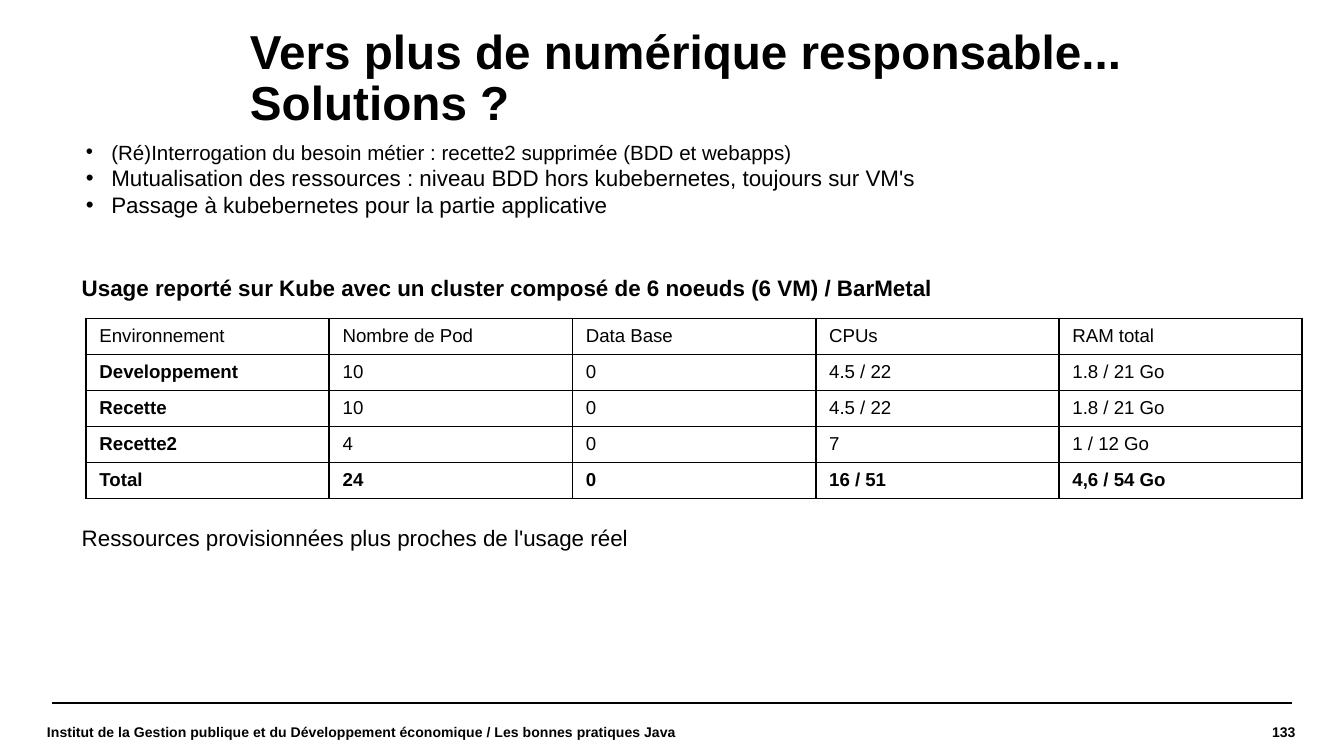
from dataclasses import dataclass

from pptx import Presentation
from pptx.dml.color import RGBColor
from pptx.enum.shapes import MSO_CONNECTOR as CONNECTOR, MSO_SHAPE as SHAPE
from pptx.enum.text import MSO_ANCHOR as ANCHOR, MSO_AUTO_SIZE as AUTO_SIZE, PP_ALIGN as ALIGN
from pptx.oxml import parse_xml
from pptx.oxml.ns import nsdecls
from pptx.util import Inches, Pt


@dataclass(frozen=True)
class Theme:
    """Colours, font and type sizes of the slide."""
    ink: str = "000000"
    paper: str = "FFFFFF"
    font: str = "Arial"
    title: float = 25.5
    body: float = 12
    first_bullet: float = 11
    cell: float = 10
    footer: float = 7.5
    rule: float = 0.8
    border: float = 0.96


THEME = Theme()

BULLETS = [
    ("(Ré)Interrogation du besoin métier : recette2 supprimée (BDD et webapps)", THEME.first_bullet),
    ("Mutualisation des ressources : niveau BDD hors kubebernetes, toujours sur VM's", THEME.body),
    ("Passage à kubebernetes pour la partie applicative", THEME.body),
]

USAGE = [
    ("Environnement", "Nombre de Pod", "Data Base", "CPUs", "RAM total"),
    ("Developpement", "10", "0", "4.5 / 22", "1.8 / 21 Go"),
    ("Recette", "10", "0", "4.5 / 22", "1.8 / 21 Go"),
    ("Recette2", "4", "0", "7", "1 / 12 Go"),
    ("Total", "24", "0", "16 / 51", "4,6 / 54 Go"),
]


def style(paragraph, size, bold=False):
    """Apply the theme font to every run of a paragraph."""
    for run in paragraph.runs:
        run.font.name = THEME.font
        run.font.size = Pt(size)
        run.font.bold = bold
        run.font.color.rgb = RGBColor.from_string(THEME.ink)


def add_text(slide, box, text, size, bold=False, inset=True, anchor=ANCHOR.TOP, align=ALIGN.LEFT):
    """Place one paragraph in a wrapped text box and return the paragraph."""
    frame = slide.shapes.add_textbox(*map(Inches, box)).text_frame
    frame.word_wrap = True
    frame.vertical_anchor = anchor
    if not inset:
        frame.margin_left = frame.margin_right = frame.margin_top = frame.margin_bottom = 0
    frame.text = text
    paragraph = frame.paragraphs[0]
    paragraph.alignment = align
    style(paragraph, size, bold)
    return paragraph


def add_title(slide, box):
    """Place the slide title."""
    title = add_text(slide, box, "Vers plus de numérique responsable... Solutions ?",
                     THEME.title, bold=True, inset=False)
    title.line_spacing = 0.9


def add_footer(slide, box):
    """Place the rule, the course name and the page number."""
    left, top, width, height = box
    rule = slide.shapes.add_connector(CONNECTOR.STRAIGHT, Inches(left + 0.04), Inches(top),
                                      Inches(left + width - 0.03), Inches(top))
    rule.line.color.rgb = RGBColor.from_string(THEME.ink)
    rule.line.width = Pt(THEME.rule)
    rule._element.spPr.append(parse_xml(f"<a:effectLst {nsdecls('a')}/>"))

    number_width = 1.47
    label_top, label_height = top + 0.02, height - 0.02
    entries = [
        (left + width - number_width, number_width, "133", ALIGN.RIGHT),
        (left, 4.84, "Institut de la Gestion publique et du Développement économique"
                     " / Les bonnes pratiques Java", ALIGN.LEFT),
    ]
    for entry_left, entry_width, text, align in entries:
        add_text(slide, (entry_left, label_top, entry_width, label_height), text, THEME.footer,
                 bold=True, inset=False, anchor=ANCHOR.MIDDLE, align=align)


def add_solutions(slide, box):
    """Place the bulleted list of solutions."""
    panel = slide.shapes.add_shape(SHAPE.RECTANGLE, *map(Inches, box))
    panel.shadow.inherit = False
    panel.fill.background()
    panel.line.color.rgb = RGBColor.from_string(THEME.paper)
    panel.line.width = Pt(0)
    frame = panel.text_frame
    frame.word_wrap = True
    frame.auto_size = AUTO_SIZE.SHAPE_TO_FIT_TEXT
    frame.vertical_anchor = ANCHOR.TOP
    frame.text = "\n".join(text for text, _ in BULLETS)
    indent = Inches(0.19)
    for solution, (_, size) in zip(frame.paragraphs, BULLETS):
        solution.alignment = ALIGN.LEFT
        properties = solution._p.get_or_add_pPr()
        properties.set("marL", str(indent))
        properties.set("indent", str(-indent))
        for bullet in (f'<a:buClr {nsdecls("a")}><a:srgbClr val="{THEME.ink}"/></a:buClr>',
                       f'<a:buFont {nsdecls("a")} typeface="{THEME.font}"/>',
                       f'<a:buChar {nsdecls("a")} char="•"/>'):
            properties.append(parse_xml(bullet))
        style(solution, size)


def add_borders(cell):
    """Draw the four borders of a table cell."""
    properties = cell._tc.get_or_add_tcPr()
    for position, side in enumerate(("lnL", "lnR", "lnT", "lnB")):
        properties.insert(position, parse_xml(
            f'<a:{side} {nsdecls("a")} w="{Pt(THEME.border)}"><a:solidFill>'
            f'<a:srgbClr val="{THEME.ink}"/></a:solidFill></a:{side}>'))


def add_usage_table(slide, box):
    """Place the usage table with equal columns and rows."""
    _, _, width, height = box
    table = slide.shapes.add_table(len(USAGE), len(USAGE[0]), *map(Inches, box)).table
    table.first_row = table.horz_banding = False
    for column in table.columns:
        column.width = Inches(width / len(USAGE[0]))
    for row in table.rows:
        row.height = Inches(height / len(USAGE))
    last = len(USAGE) - 1
    for r, values in enumerate(USAGE):
        for c, value in enumerate(values):
            cell = table.cell(r, c)
            cell.text = value
            cell.vertical_anchor = ANCHOR.MIDDLE
            cell.fill.background()
            style(cell.text_frame.paragraphs[0], THEME.cell, bold=r == last or (r > 0 and c == 0))
            add_borders(cell)


def add_usage(slide, box):
    """Place the usage heading, its table and the conclusion."""
    left, top, width, height = box
    add_text(slide, (left, top, 8.67, 0.5),
             "Usage reporté sur Kube avec un cluster composé de 6 noeuds (6 VM) / BarMetal",
             THEME.body, bold=True)
    add_usage_table(slide, (left + 0.13, top + 0.38, width - 0.13, 1.34))
    add_text(slide, (left, top + height - 0.3, 4.33, 0.3),
             "Ressources provisionnées plus proches de l'usage réel", THEME.body)


def main():
    """Build the slide and save it."""
    deck = Presentation()
    deck.slide_width = Inches(10)
    deck.slide_height = deck.slide_width * 9 // 16
    slide = deck.slides.add_slide(deck.slide_layouts[6])
    add_footer(slide, (0.35, 5.23, 9.29, 0.41))
    add_title(slide, (1.86, 0.21, 7.99, 0.4))
    add_solutions(slide, (0.54, 0.99, 8.43, 0.86))
    add_usage(slide, (0.51, 1.99, 9.18, 2.16))
    deck.save("out.pptx")


if __name__ == "__main__":
    main()
